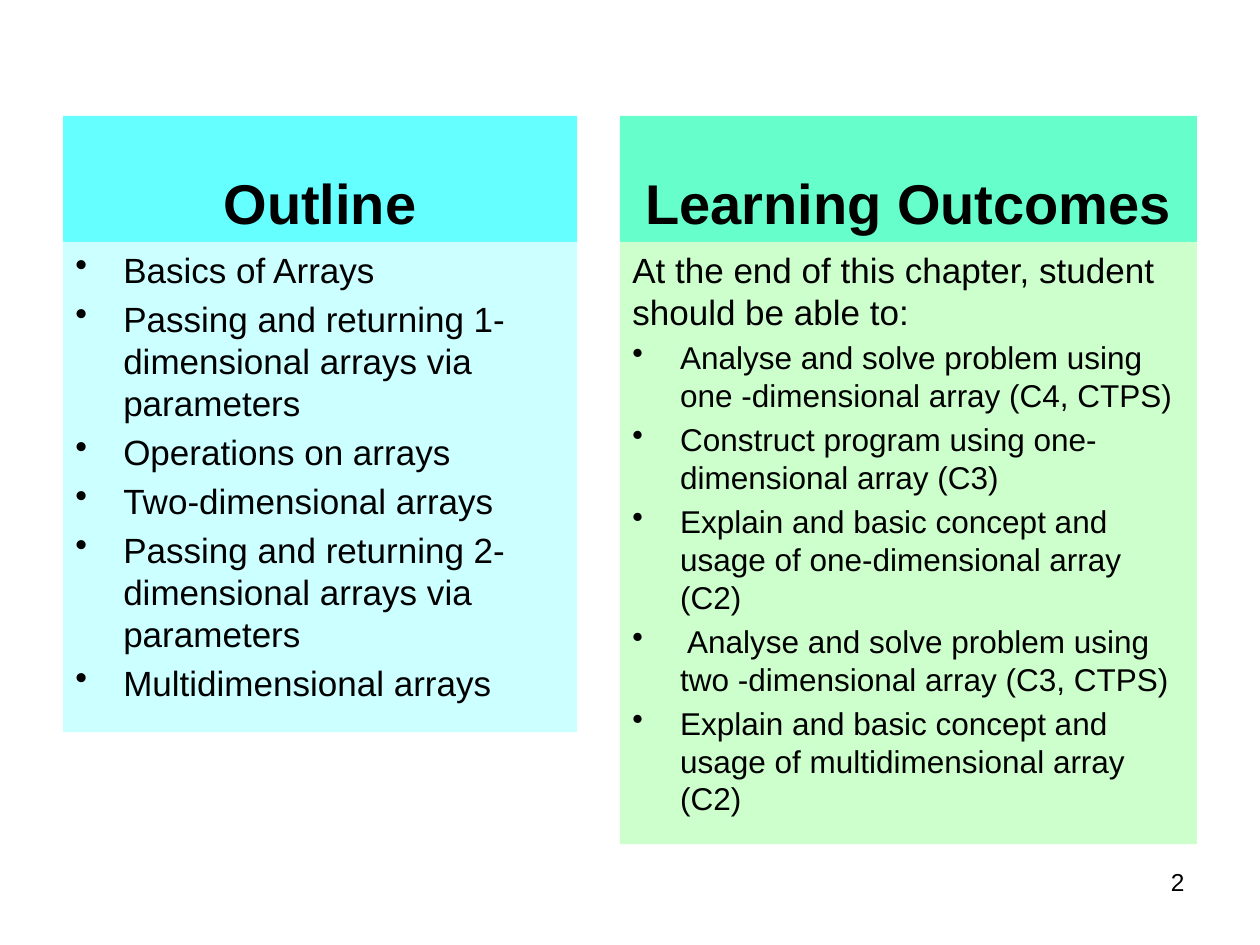
import pptx
import pptx.dml.color
import pptx.enum.shapes
import pptx.enum.text
import pptx.util
from dataclasses import dataclass
from lxml import etree
from pptx.util import Inches

ALIGN = pptx.enum.text.PP_ALIGN
ANCHOR = pptx.enum.text.MSO_ANCHOR


@dataclass(frozen=True)
class Theme:
    font: str = "Arial"
    text: str = "000000"
    outline_head: str = "66FFFF"
    outline_body: str = "CCFFFF"
    outcomes_head: str = "66FFCC"
    outcomes_body: str = "CCFFCC"
    heading: int = 32
    body: int = 20
    detail: int = 18
    number: int = 14
    space_ratio: float = 0.2
    indent: float = 0.38


class SlideBuilder:
    def __init__(self, s, theme):
        self.s = s
        self.theme = theme

    def panel(self, x, y, w, h, fill, anchor=ANCHOR.TOP):
        sp = self.s.shapes.add_shape(
            pptx.enum.shapes.MSO_SHAPE.RECTANGLE,
            Inches(x), Inches(y), Inches(w), Inches(h))
        sp.shadow.inherit = False
        sp.fill.solid()
        sp.fill.fore_color.rgb = pptx.dml.color.RGBColor.from_string(fill)
        sp.line.fill.background()
        tf = sp.text_frame
        tf.word_wrap = True
        tf.vertical_anchor = anchor
        return tf

    def paragraph(self, tf, text, size, align=ALIGN.LEFT, bold=False, bullet=False):
        """Fill the empty first paragraph, or append one after it."""
        p = tf.paragraphs[0]
        if p.runs:
            p = tf.add_paragraph()
        p.alignment = align
        p.space_before = pptx.util.Pt(size * self.theme.space_ratio)
        r = p.add_run()
        r.text = text
        r.font.name = self.theme.font
        r.font.size = pptx.util.Pt(size)
        r.font.bold = bold
        r.font.color.rgb = pptx.dml.color.RGBColor.from_string(self.theme.text)
        if bullet:
            self.bullet(p)
        return p

    def bullet(self, p):
        pPr = p._p.get_or_add_pPr()
        indent = Inches(self.theme.indent)
        pPr.set("marL", str(indent))
        pPr.set("indent", str(-indent))
        etree.SubElement(pPr, pptx.oxml.ns.qn("a:buChar")).set("char", "•")

    def heading(self, x, y, w, h, text, fill):
        tf = self.panel(x, y, w, h, fill, ANCHOR.BOTTOM)
        self.paragraph(tf, text, self.theme.heading, ALIGN.CENTER, bold=True)

    def bullet_list(self, x, y, w, h, items, size, fill, intro=None):
        tf = self.panel(x, y, w, h, fill)
        if intro:
            self.paragraph(tf, intro, self.theme.body)
        for item in items:
            self.paragraph(tf, item, size, bullet=True)

    def slide_number(self, x, y, w, h, number):
        tf = self.s.shapes.add_textbox(
            Inches(x), Inches(y), Inches(w), Inches(h)).text_frame
        tf.word_wrap = True
        p = self.paragraph(tf, str(number), self.theme.number, ALIGN.RIGHT)
        p.space_before = pptx.util.Pt(0)


OUTLINE = [
    "Basics of Arrays",
    "Passing and returning 1-dimensional arrays via parameters",
    "Operations on arrays",
    "Two-dimensional arrays",
    "Passing and returning 2-dimensional arrays via parameters",
    "Multidimensional arrays",
]
OUTCOMES = [
    "Analyse and solve problem using one -dimensional array (C4, CTPS)",
    "Construct program using one-dimensional array (C3)",
    "Explain and basic concept and usage of one-dimensional array (C2)",
    " Analyse and solve problem using two -dimensional array (C3, CTPS)",
    "Explain and basic concept and usage of multidimensional array (C2)",
]


def main():
    prs = pptx.Presentation()
    prs.slide_width, prs.slide_height = Inches(10), Inches(7.5)
    theme = Theme()
    b = SlideBuilder(prs.slides.add_slide(prs.slide_layouts[6]), theme)

    top, head_h = 0.92, 1
    body_top = top + head_h
    left_x, left_w = 0.5, 4.08
    right_x, right_w = 4.92, 4.58

    b.heading(left_x, top, left_w, head_h, "Outline", theme.outline_head)
    b.bullet_list(left_x, body_top, left_w, 3.89, OUTLINE, theme.body,
                  theme.outline_body)
    b.heading(right_x, top, right_w, head_h, "Learning Outcomes",
              theme.outcomes_head)
    b.bullet_list(right_x, body_top, right_w, 4.78, OUTCOMES, theme.detail,
                  theme.outcomes_body,
                  intro="At the end of this chapter, student should be able to:")
    b.slide_number(7.17, 6.83, 2.33, 0.52, 2)
    prs.save("out.pptx")


if __name__ == "__main__":
    main()
